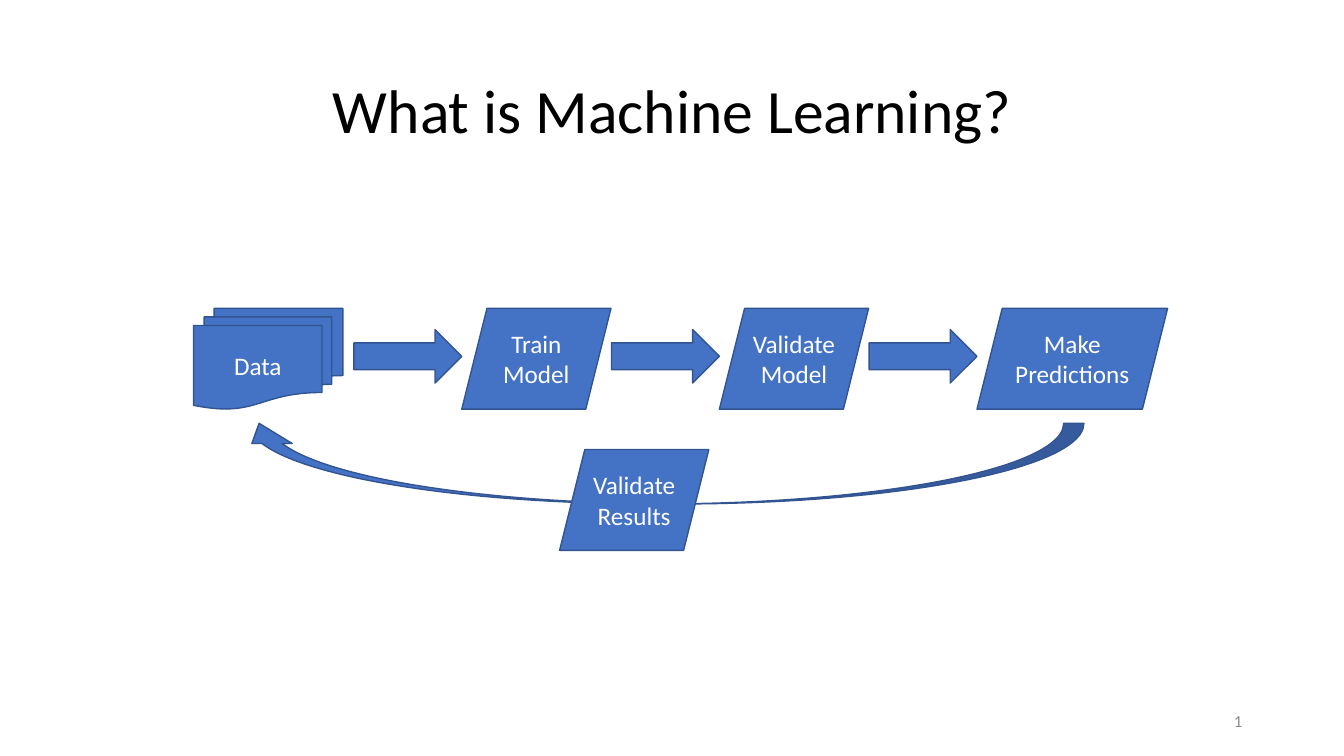
from pptx import Presentation
from pptx import util as u
from pptx.dml import color
from pptx.enum import shapes, text

COLORS = {"fill": "4472C4", "line": "325491", "label": "FFFFFF",
          "title": "000000", "number": "8C8C8C"}
KIND = shapes.MSO_SHAPE
ALIGN = text.PP_ALIGN

prs = Presentation()
prs.slide_width, prs.slide_height = u.Inches(13.33), u.Inches(7.5)
slide = prs.slides.add_slide(prs.slide_layouts[5])  # Title Only


def write(s, lines, size, ink, align):
    """Write one paragraph per line, vertically centred in the shape."""
    tf = s.text_frame
    tf.word_wrap = True
    tf.auto_size = text.MSO_AUTO_SIZE.NONE
    tf.vertical_anchor = text.MSO_ANCHOR.MIDDLE
    for i, line in enumerate(lines):
        p = tf.add_paragraph() if i else tf.paragraphs[0]
        p.alignment = align
        r = p.add_run()
        r.text = line
        r.font.name, r.font.size = "Calibri", u.Pt(size)
        r.font.color.rgb = color.RGBColor.from_string(COLORS[ink])


def add_block(kind, x, y, w, h, lines=()):
    """Add a filled, outlined flow shape, measured in inches."""
    s = slide.shapes.add_shape(kind, *map(u.Inches, (x, y, w, h)))
    s.shadow.inherit = False
    s.fill.solid()
    s.fill.fore_color.rgb = color.RGBColor.from_string(COLORS["fill"])
    s.line.color.rgb = color.RGBColor.from_string(COLORS["line"])
    s.line.width = u.Pt(1)
    write(s, lines, 18, "label", ALIGN.CENTER)
    return s


# Title and slide number
title = slide.shapes.title
title.left, title.top = u.Inches(0.92), u.Inches(0.4)
title.width, title.height = u.Inches(11.5), u.Inches(1.45)
write(title, ["What is Machine Learning?"], 44, "title", ALIGN.CENTER)
title.text_frame.paragraphs[0].line_spacing = 0.9

number = slide.shapes.add_textbox(*map(u.Inches, (9.42, 6.95, 3, 0.4)))
write(number, ["1"], 12, "number", ALIGN.RIGHT)

# Grid of the flow: three step columns, each led in by an arrow
ROW, BOX_W, BOX_H = 3.06, 1.48, 1
FIRST, PITCH = 4.58, 2.555
ARROW_W, ARROW_H = 1.07, 0.53

# Feedback loop from the predictions back to the data
loop = add_block(KIND.CURVED_UP_ARROW, 2.37, 4.2, 8.38, 0.8)
loop._element.spPr.xfrm.set("flipH", "1")
add_block(KIND.PARALLELOGRAM, 5.55, 4.46, BOX_W, BOX_H,
          ["Validate", "Results"])

# Main row
add_block(KIND.FLOWCHART_MULTIDOCUMENT, 1.92, ROW, BOX_W, BOX_H, ["Data"])
steps = [(["Train", "Model"], BOX_W),
         (["Validate", "Model"], BOX_W),
         (["Make Predictions"], 1.89)]
for col, (lines, width) in enumerate(steps):
    x = FIRST + col * PITCH
    add_block(KIND.PARALLELOGRAM, x, ROW, width, BOX_H, lines)
    add_block(KIND.RIGHT_ARROW, x - ARROW_W, 3.27, ARROW_W, ARROW_H)

prs.save("out.pptx")
